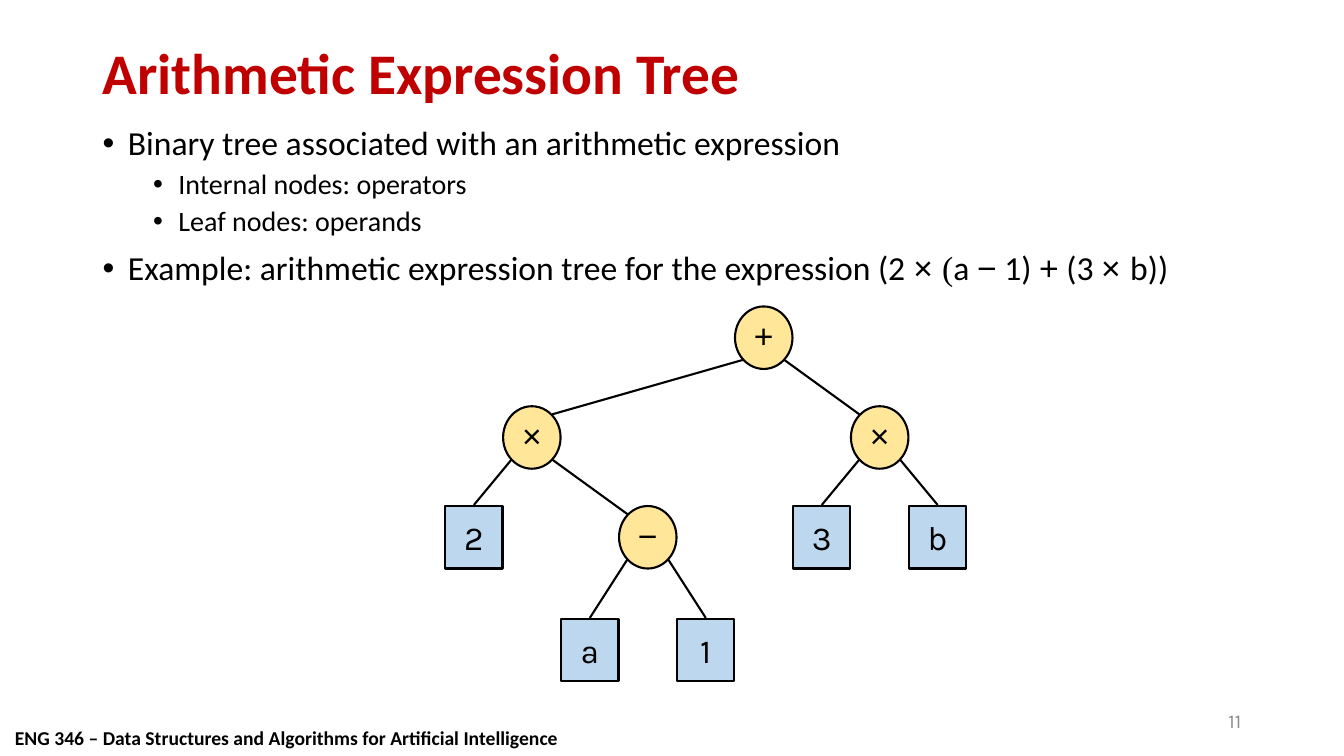
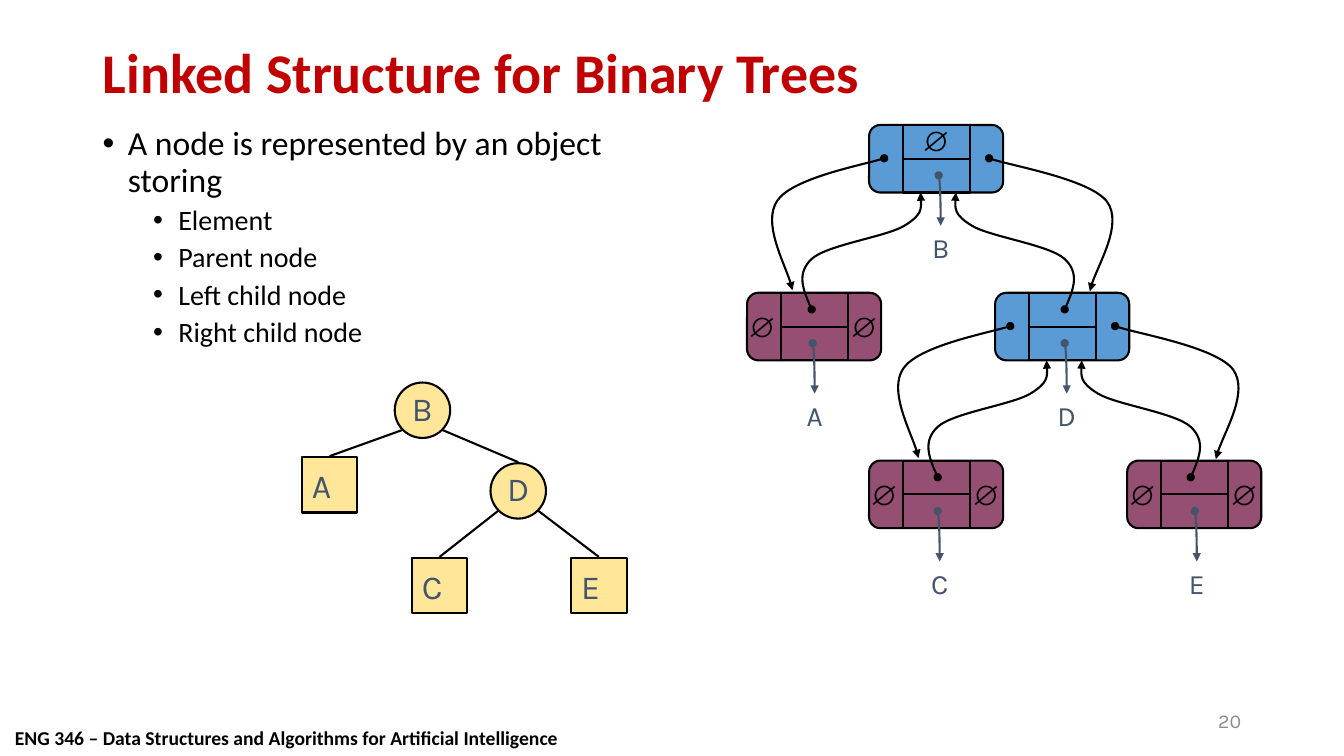
from dataclasses import dataclass
from math import sqrt

from lxml.etree import SubElement
from pptx import Presentation
from pptx.dml.color import RGBColor
from pptx.enum.shapes import MSO_CONNECTOR, MSO_SHAPE
from pptx.enum.text import MSO_ANCHOR, PP_ALIGN
from pptx.oxml.ns import qn
from pptx.util import Inches, Pt

# Shared page geometry, in inches
WIDTH, HEIGHT = 13.33, 7.5
MARGIN = 0.92
CONTENT = WIDTH - 2 * MARGIN

# Shared colours and fonts
BLACK, RED, GREY, SLATE = "000000", "C00000", "8C8C8C", "44546A"
YELLOW, PALE_BLUE, BLUE, PLUM = "FFE699", "BDD7EE", "5B9BD5", "954F72"
TEXT_FONT, LABEL_FONT, SYMBOL_FONT = "Calibri", "Karla", "Arial"
FOOTER = "ENG 346 – Data Structures and Algorithms for Artificial Intelligence"

# Linked objects: a card is split into a quarter, a half and a quarter
CARD_WIDTH, CARD_HEIGHT = 1.33, 0.67
CARD_TOP, CARD_ROW = 1.24, (4.57 - 1.24) / 2

# Bezier control points, measured from the parent card's top left corner
LEFT_LINK = [(0.15, 0.33), (-0.03, 0.39), (-0.76, 0.53), (-0.91, 0.75),
             (-1.06, 0.97), (-0.79, 1.46), (-0.76, 1.64)]
RIGHT_LINK = [(1.19, 0.33), (1.38, 0.4), (2.19, 0.54), (2.36, 0.76),
              (2.52, 0.98), (2.22, 1.47), (2.19, 1.65)]
LEFT_PARENT_LINK = [(-0.57, 1.83), (-0.65, 1.65), (-0.72, 1.47), (-0.57, 1.33),
                    (-0.42, 1.19), (0.17, 1.11), (0.35, 1.0),
                    (0.53, 0.89), (0.52, 0.78), (0.51, 0.67)]
RIGHT_PARENT_LINK = [(1.37 - x, y) for x, y in LEFT_PARENT_LINK]


@dataclass
class Node:
    label: str
    x: float
    y: float
    parent: int = -1
    internal: bool = False


@dataclass
class TreeStyle:
    width: float
    height: float
    leaf_fill: str
    text_color: str
    operator_font: str
    leaf_align: PP_ALIGN
    diagonal_tops: bool


def color(hex_string):
    return RGBColor.from_string(hex_string)


# Text
def style_run(run, size, font, hex_string, bold=False):
    run.font.size = Pt(size)
    run.font.name = font
    run.font.bold = bold
    run.font.color.rgb = color(hex_string)


def set_label(shape, text, size, font, hex_string, align=PP_ALIGN.LEFT,
              anchor=MSO_ANCHOR.TOP, bold=False, wrap=True):
    frame = shape.text_frame
    frame.word_wrap = wrap
    frame.vertical_anchor = anchor
    frame.text = text
    paragraph = frame.paragraphs[0]
    paragraph.alignment = align
    style_run(paragraph.runs[0], size, font, hex_string, bold)
    return paragraph


def add_box(slide, left, top, width, height):
    return slide.shapes.add_textbox(*map(Inches, (left, top, width, height)))


def add_centred_label(slide, text, x, y, font, hex_string, bold=False):
    box = add_box(slide, x - 0.24, y - 0.21, 0.48, 0.43)
    set_label(box, text, 20, font, hex_string, PP_ALIGN.CENTER, bold=bold)


def add_bullet(paragraph, level):
    paragraph.level = level
    properties = paragraph._p.get_or_add_pPr()
    properties.set("marL", str(Inches(0.25 + 0.5 * level)))
    properties.set("indent", str(Inches(-0.25)))
    bullet_color = SubElement(properties, qn("a:buClr"))
    SubElement(bullet_color, qn("a:srgbClr"), val=BLACK)
    SubElement(properties, qn("a:buFont"), typeface=SYMBOL_FONT)
    SubElement(properties, qn("a:buChar"), char="•")


def add_body(slide, width, items):
    """Each item is (level, text) or (level, [(text, font), ...])."""
    frame = add_box(slide, MARGIN, 1.21, width, 5.54).text_frame
    frame.word_wrap = True
    for index, (level, content) in enumerate(items):
        paragraph = frame.add_paragraph() if index else frame.paragraphs[0]
        add_bullet(paragraph, level)
        paragraph.line_spacing = 0.9
        paragraph.space_before = Pt((5 if level else 10) if index else 0)
        parts = [(content, TEXT_FONT)] if isinstance(content, str) else content
        for text, font in parts:
            run = paragraph.add_run()
            run.text = text
            style_run(run, 20 if level else 24, font, BLACK)


def add_page(presentation, title, title_size, number):
    slide = presentation.slides.add_slide(presentation.slide_layouts[6])
    set_label(add_box(slide, 0.05, 7.15, 5.63, 0.33), FOOTER, 14, TEXT_FONT,
              BLACK, bold=True)
    heading = set_label(add_box(slide, MARGIN, 0.4, CONTENT, 0.7), title,
                        title_size, TEXT_FONT, RED,
                        anchor=MSO_ANCHOR.MIDDLE, bold=True)
    heading.line_spacing = 0.9
    set_label(add_box(slide, WIDTH - MARGIN - 3, 6.95, 3, 0.4), number, 14,
              LABEL_FONT, GREY, PP_ALIGN.RIGHT, MSO_ANCHOR.MIDDLE)
    return slide


# Shapes and lines
def add_outlined(slide, kind, left, top, width, height, fill):
    shape = slide.shapes.add_shape(kind, *map(Inches, (left, top, width, height)))
    shape.shadow.inherit = False
    shape.fill.solid()
    shape.fill.fore_color.rgb = color(fill)
    set_line(shape, BLACK)
    return shape


def set_line(shape, hex_string, pointer=False):
    shape.line.color.rgb = color(hex_string)
    shape.line.width = Pt(1.5)
    if pointer:
        line = shape.element.spPr.find(qn("a:ln"))
        SubElement(line, qn("a:headEnd"), type="oval")
        SubElement(line, qn("a:tailEnd"), type="triangle")


def add_line(slide, start, end, hex_string=BLACK, pointer=False):
    kind = MSO_CONNECTOR.CURVE if pointer else MSO_CONNECTOR.STRAIGHT
    connector = slide.shapes.add_connector(kind, *map(Inches, (*start, *end)))
    properties = connector.element.spPr
    if pointer:
        properties.find(qn("a:prstGeom")).set("prst", "curvedConnector2")
    set_line(connector, hex_string, pointer)
    SubElement(properties, qn("a:effectLst"))


def add_curved_pointer(slide, left, top, controls):
    points = [(Inches(left + x), Inches(top + y)) for x, y in controls]
    builder = slide.shapes.build_freeform(*points[0])
    builder.add_line_segments(points[1:], close=False)
    curve = builder.convert_to_shape()
    curve.shadow.inherit = False
    curve.fill.background()
    set_line(curve, BLACK, pointer=True)
    # Every three straight segments become one cubic Bezier segment
    segments = list(curve.element.iter(qn("a:lnTo")))
    outline = segments[0].getparent()
    for first in range(0, len(segments), 3):
        bezier = SubElement(outline, qn("a:cubicBezTo"))
        for segment in segments[first:first + 3]:
            bezier.append(segment[0])
            outline.remove(segment)


# Trees
def add_node(slide, node, style):
    kind = MSO_SHAPE.OVAL if node.internal else MSO_SHAPE.RECTANGLE
    shape = add_outlined(slide, kind, node.x - style.width / 2,
                         node.y - style.height / 2, style.width, style.height,
                         YELLOW if node.internal else style.leaf_fill)
    if node.internal:
        frame = shape.text_frame
        frame.margin_left = frame.margin_right = frame.margin_top = 0
    set_label(shape, node.label, 24,
              style.operator_font if node.internal else LABEL_FONT,
              style.text_color,
              PP_ALIGN.CENTER if node.internal else style.leaf_align,
              MSO_ANCHOR.MIDDLE, wrap=not node.internal)


def add_edge(slide, parent, child, style):
    side = 1 if child.x > parent.x else -1
    reach_x, reach_y = style.width / sqrt(8), style.height / sqrt(8)
    start = (parent.x + side * reach_x, parent.y + reach_y)
    end = (child.x, child.y - style.height / 2 - 0.01)
    if child.internal and style.diagonal_tops:
        end = (child.x - side * reach_x, child.y - reach_y - 0.01)
    add_line(slide, start, end)


def add_tree(slide, nodes, style):
    for node in nodes:
        add_node(slide, node, style)
        if node.parent >= 0:
            add_edge(slide, nodes[node.parent], node, style)


# Linked objects
def add_card(slide, label, left, row, leaf, arrow_offset):
    top = CARD_TOP + row * CARD_ROW
    quarter, middle = CARD_WIDTH / 4, top + CARD_HEIGHT / 2
    fill = PLUM if leaf else BLUE
    add_outlined(slide, MSO_SHAPE.ROUNDED_RECTANGLE, left, top,
                 CARD_WIDTH, CARD_HEIGHT, fill)
    add_outlined(slide, MSO_SHAPE.RECTANGLE, left + quarter, top,
                 2 * quarter, CARD_HEIGHT, fill)
    add_line(slide, (left + quarter, middle), (left + 3 * quarter, middle))
    empty_cells = [(x, middle - 0.01) for x in (0.15, 1.16)] if leaf else []
    if row == 0:
        empty_cells.append((CARD_WIDTH / 2, top + 0.15))
    for x, y in empty_cells:
        add_centred_label(slide, "∅", left + x, y, SYMBOL_FONT, BLACK, bold=True)
    arrow_x, arrow_end = left + arrow_offset, top + 1
    add_line(slide, (arrow_x, top + 0.5), (arrow_x + 0.02, arrow_end),
             SLATE, pointer=True)
    add_centred_label(slide, label, arrow_x + 0.02, arrow_end + 0.21,
                      LABEL_FONT, SLATE)


# Slides
def build_expression_slide(presentation):
    slide = add_page(presentation, "Arithmetic Expression Tree", 41, "11")
    add_body(slide, CONTENT, [
        (0, "Binary tree associated with an arithmetic expression"),
        (1, "Internal nodes: operators"),
        (1, "Leaf nodes: operands"),
        (0, [("Example: arithmetic expression tree for the expression (2 ", TEXT_FONT),
             ("× ", SYMBOL_FONT), ("(", "Times New Roman"), ("a ", TEXT_FONT),
             ("−", SYMBOL_FONT), (" 1) ", TEXT_FONT), ("+", SYMBOL_FONT),
             (" (3 ", TEXT_FONT), ("× ", SYMBOL_FONT), ("b))", TEXT_FONT)]),
    ])
    columns = [4.7 + index * 4.6 / 8 for index in range(9)]
    rows = [3.35, 4.34, 5.33, 6.45]
    cells = [("+", 5, 0, -1, True), ("×", 1, 1, 0, True), ("×", 7, 1, 0, True),
             ("−", 3, 2, 1, True), ("2", 0, 2, 1, False), ("a", 2, 3, 3, False),
             ("1", 4, 3, 3, False), ("3", 6, 2, 2, False), ("b", 8, 2, 2, False)]
    nodes = [Node(label, columns[column], rows[row], parent, internal)
             for label, column, row, parent, internal in cells]
    add_tree(slide, nodes, TreeStyle(0.57, 0.62, PALE_BLUE, BLACK, SYMBOL_FONT,
                                     PP_ALIGN.CENTER, True))


def build_linked_slide(presentation):
    slide = add_page(presentation, "Linked Structure for Binary Trees", 40, "20")
    add_body(slide, 5.92, [
        (0, "A node is represented by an object storing"),
        (1, "Element"), (1, "Parent node"),
        (1, "Left child node"), (1, "Right child node"),
    ])
    nodes = [Node("B", 4.19, 4.07, internal=True), Node("A", 3.27, 4.81, 0),
             Node("D", 5.14, 4.87, 0, True), Node("C", 4.36, 5.81, 2),
             Node("E", 5.94, 5.81, 2)]
    add_tree(slide, nodes, TreeStyle(0.55, 0.55, YELLOW, SLATE, LABEL_FONT,
                                     PP_ALIGN.LEFT, False))
    cards = [("B", 8.62, 0, False, 0.69), ("A", 7.41, 1, True, 0.65),
             ("D", 9.87, 1, False, 0.69), ("C", 8.62, 2, True, 0.68),
             ("E", 11.18, 2, True, 0.67)]
    for card in cards:
        add_card(slide, *card)
    for _, left, row, leaf, _ in cards:
        if not leaf:
            for controls in (LEFT_PARENT_LINK, RIGHT_PARENT_LINK,
                             LEFT_LINK, RIGHT_LINK):
                add_curved_pointer(slide, left, CARD_TOP + row * CARD_ROW, controls)


def main():
    presentation = Presentation()
    presentation.slide_width, presentation.slide_height = Inches(WIDTH), Inches(HEIGHT)
    build_expression_slide(presentation)
    build_linked_slide(presentation)
    presentation.save("out.pptx")


if __name__ == "__main__":
    main()
